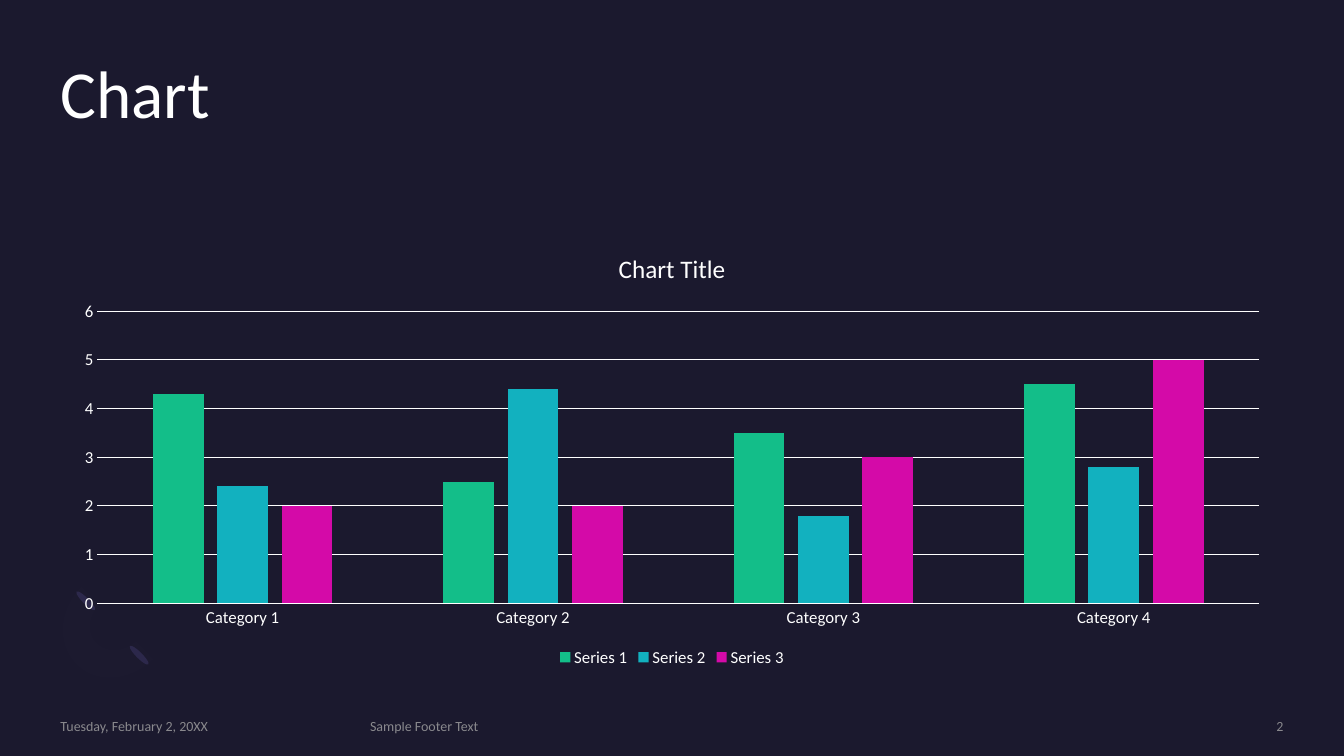
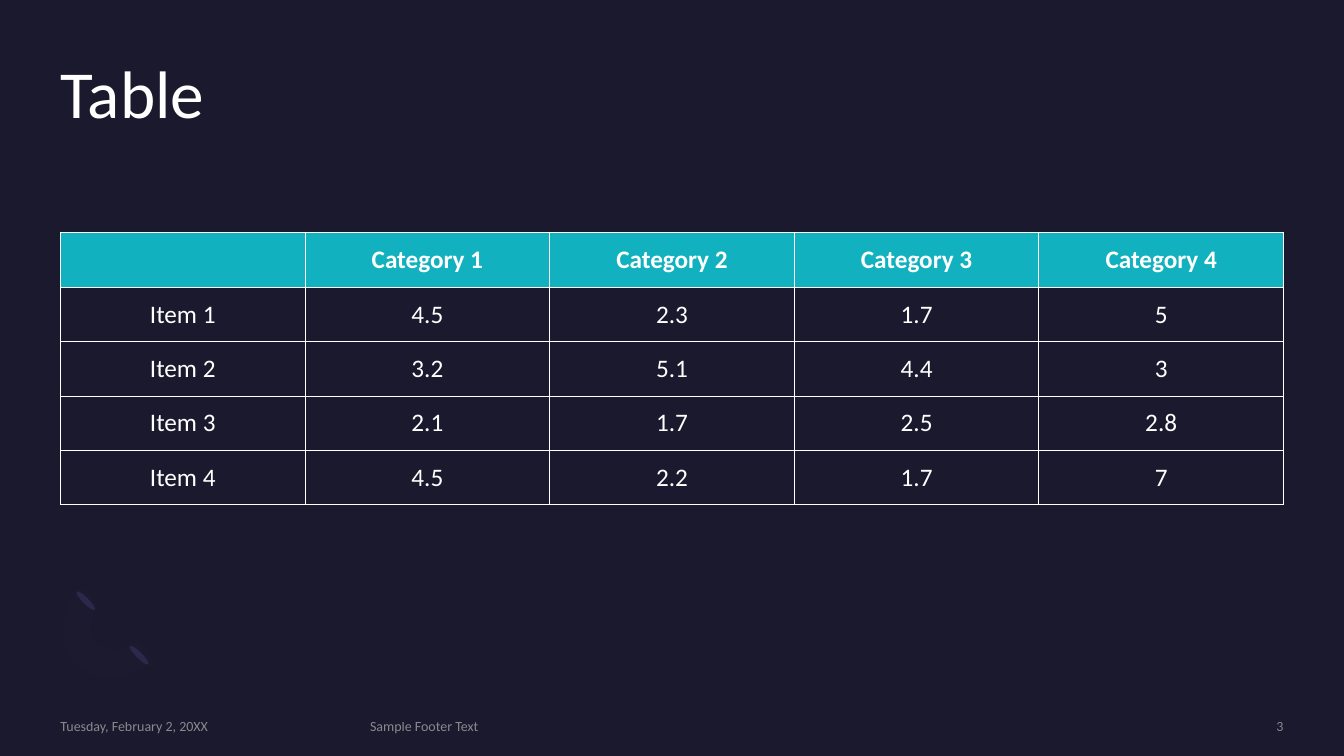
from dataclasses import dataclass

from lxml import etree
from pptx import Presentation
from pptx.chart.data import CategoryChartData
from pptx.dml.color import RGBColor as RGB
from pptx.enum.chart import XL_CHART_TYPE as CT, XL_LEGEND_POSITION as LP, XL_TICK_MARK as TM
from pptx.enum.shapes import MSO_SHAPE as SHAPE
from pptx.enum.text import MSO_ANCHOR as ANCHOR, MSO_AUTO_SIZE as FIT, PP_ALIGN as ALIGN
from pptx.oxml.ns import qn
from pptx.util import Inches, Pt


@dataclass(frozen=True)
class Theme:
    font: str = "Calibri"
    back: RGB = RGB(0x1B, 0x19, 0x2E)
    text: RGB = RGB(0xFF, 0xFF, 0xFF)
    muted: RGB = RGB(0xA6, 0xA6, 0xA6)
    petal: RGB = RGB(0x2C, 0x28, 0x4A)
    arc: RGB = RGB(0x77, 0x71, 0xB2)
    green: RGB = RGB(0x13, 0xBE, 0x89)
    teal: RGB = RGB(0x12, 0xB1, 0xBF)
    pink: RGB = RGB(0xD4, 0x0A, 0xA8)
    title_size: int = 48
    body_size: int = 18
    axis_size: int = 12
    footer_size: int = 10
    rule: float = 0.75


T = Theme()
TITLE_BOX = (0.6, 0.6, 12.13, 1.46)
CHART_BOX = (0.6, 2.31, 12.13, 4.35)
TABLE_BOX = (0.6, 2.31, 12.13, 2.7)
FOOTER_BOX = (0.6, 7.12, 12.13, 0.17)
ORNAMENT_BOX = (0.58, 5.82, 0.94, 0.97)


def inches(*values):
    return [Inches(v) for v in values]


def set_font(font, size, color=T.text, bold=False):
    font.name, font.size, font.bold = T.font, Pt(size), bold
    font.color.rgb = color


def set_alpha(element, percent):
    for color in element.iter(qn("a:srgbClr")):
        etree.SubElement(color, qn("a:alpha"), val=str(percent * 1000))


def write(tf, text, size, color=T.text, bold=False, align=ALIGN.LEFT):
    p = tf.paragraphs[0]
    p.alignment = align
    r = p.add_run()
    r.text = text
    set_font(r.font, size, color, bold)
    return r


def clear_insets(tf, anchor):
    tf.margin_left = tf.margin_top = tf.margin_right = tf.margin_bottom = 0
    tf.word_wrap, tf.auto_size = True, FIT.NONE
    tf.vertical_anchor = anchor


def paint(sp, color):
    sp.fill.solid()
    sp.fill.fore_color.rgb = color
    sp.line.fill.background()
    sp.shadow.inherit = False


def bezier(points, steps=12):
    """Points along a cubic curve, without its start."""
    for i in range(1, steps + 1):
        t = i / steps
        weights = ((1 - t) ** 3, 3 * t * (1 - t) ** 2, 3 * t * t * (1 - t), t ** 3)
        yield tuple(sum(w * pt[axis] for w, pt in zip(weights, points)) for axis in (0, 1))


# Faint crescent with two petals, lower left
def add_ornament(slide, box):
    x, y, _, _ = box
    for dx, dy in ((0.77, 0.55), (0.24, 0.01)):
        petal = slide.shapes.add_shape(SHAPE.OVAL, *inches(x + dx, y + dy, 0.06, 0.26))
        petal.rotation = 135
        paint(petal, T.petal)

    outer_end, inner_start, inner_mid = (0.23, 0), (0.41, 0.18), (0.38, 0.56)
    inner_end, tip, start = (0.77, 0.54), (0.94, 0.72), (0.18, 0.77)
    outline = [
        *bezier((start, (-0.02, 0.57), (0, 0.23), outer_end)),
        inner_start,
        *bezier((inner_start, (0.29, 0.29), (0.28, 0.47), inner_mid)),
        *bezier((inner_mid, (0.48, 0.66), (0.65, 0.65), inner_end)),
        tip,
        *bezier((tip, (0.72, 0.94), (0.37, 0.97), start)),
    ]
    builder = slide.shapes.build_freeform(*inches(x + start[0], y + start[1]))
    builder.add_line_segments([inches(x + dx, y + dy) for dx, dy in outline], close=True)
    crescent = builder.convert_to_shape()
    paint(crescent, T.arc)
    set_alpha(crescent.fill._xPr, 1)


def add_title(slide, box, text):
    title = slide.shapes.title
    title.left, title.top, title.width, title.height = inches(*box)
    clear_insets(title.text_frame, ANCHOR.TOP)
    write(title.text_frame, text, T.title_size)
    title.text_frame.paragraphs[0].line_spacing = 0.9


# Date, footer text and page number
def add_footer(slide, box, number):
    x, y, w, h = box
    parts = (
        (0, 2.88, "Tuesday, February 2, 20XX", ALIGN.LEFT),
        (3.07, 6.98, "Sample Footer Text", ALIGN.LEFT),
        (w - 1.85, 1.85, str(number), ALIGN.RIGHT),
    )
    for dx, width, text, align in parts:
        tf = slide.shapes.add_textbox(*inches(x + dx, y, width, h)).text_frame
        clear_insets(tf, ANCHOR.MIDDLE)
        r = write(tf, text, T.footer_size, T.muted, align=align)
        set_alpha(r._r, 80)


def add_column_chart(slide, box, title, categories, series):
    data = CategoryChartData()
    data.categories = categories
    for name, values, _ in series:
        data.add_series(name, values)
    chart = slide.shapes.add_chart(CT.COLUMN_CLUSTERED, *inches(*box), data).chart
    set_font(chart.font, T.axis_size)
    chart.has_title = True
    write(chart.chart_title.text_frame, title, T.body_size, align=ALIGN.CENTER)
    chart.chart_title.include_in_layout = False

    # Legend
    chart.has_legend = True
    chart.legend.position = LP.BOTTOM
    chart.legend.include_in_layout = False
    set_font(chart.legend.font, T.axis_size)

    # Axes and gridlines
    cat, val = chart.category_axis, chart.value_axis
    for axis in (cat, val):
        axis.major_tick_mark = axis.minor_tick_mark = TM.NONE
        set_font(axis.tick_labels.font, T.axis_size)
    val.minimum_scale, val.maximum_scale, val.major_unit = 0, 6, 1
    val.has_major_gridlines = True
    val.format.line.fill.background()
    for line in (cat.format.line, val.major_gridlines.format.line):
        line.color.rgb = T.text
        line.width = Pt(T.rule)

    # Columns
    plot = chart.plots[0]
    plot.gap_width, plot.overlap, plot.vary_by_categories = 219, -27, False
    for column, (_, _, color) in zip(plot.series, series):
        column.format.fill.solid()
        column.format.fill.fore_color.rgb = color


def add_borders(cell, color, width):
    tc_pr = cell._tc.get_or_add_tcPr()
    for side in ("lnL", "lnR", "lnT", "lnB"):
        line = etree.SubElement(tc_pr, qn(f"a:{side}"), w=str(Pt(width)))
        fill = etree.SubElement(line, qn("a:solidFill"))
        etree.SubElement(fill, qn("a:srgbClr"), val=str(color))


def add_grid_table(slide, box, rows):
    shape = slide.shapes.add_table(len(rows), len(rows[0]), *inches(*box))
    table = shape.table
    table.horz_banding = False
    for i, row in enumerate(rows):
        header = i == 0
        for j, text in enumerate(row):
            cell = table.cell(i, j)
            cell.vertical_anchor = ANCHOR.MIDDLE
            add_borders(cell, T.text, T.rule)
            if header:
                cell.fill.solid()
                cell.fill.fore_color.rgb = T.teal
            else:
                cell.fill.background()
            if text:
                write(cell.text_frame, text, T.body_size, bold=header, align=ALIGN.CENTER)


def new_slide(prs, title, number):
    slide = prs.slides.add_slide(prs.slide_layouts.get_by_name("Title Only"))
    add_ornament(slide, ORNAMENT_BOX)
    add_title(slide, TITLE_BOX, title)
    add_footer(slide, FOOTER_BOX, number)
    return slide


def chart_slide(prs, number):
    slide = new_slide(prs, "Chart", number)
    categories = [f"Category {n}" for n in range(1, 5)]
    series = (
        ("Series 1", (4.3, 2.5, 3.5, 4.5), T.green),
        ("Series 2", (2.4, 4.4, 1.8, 2.8), T.teal),
        ("Series 3", (2, 2, 3, 5), T.pink),
    )
    add_column_chart(slide, CHART_BOX, "Chart Title", categories, series)


def table_slide(prs, number):
    slide = new_slide(prs, "Table", number)
    rows = (
        ("", "Category 1", "Category 2", "Category 3", "Category 4"),
        ("Item 1", "4.5", "2.3", "1.7", "5"),
        ("Item 2", "3.2", "5.1", "4.4", "3"),
        ("Item 3", "2.1", "1.7", "2.5", "2.8"),
        ("Item 4", "4.5", "2.2", "1.7", "7"),
    )
    add_grid_table(slide, TABLE_BOX, rows)


def main():
    prs = Presentation()
    prs.slide_width, prs.slide_height = inches(13.33, 7.5)
    back = prs.slide_master.background.fill
    back.solid()
    back.fore_color.rgb = T.back
    for number, build in enumerate((chart_slide, table_slide), start=2):
        build(prs, number)
    prs.save("out.pptx")


if __name__ == "__main__":
    main()
